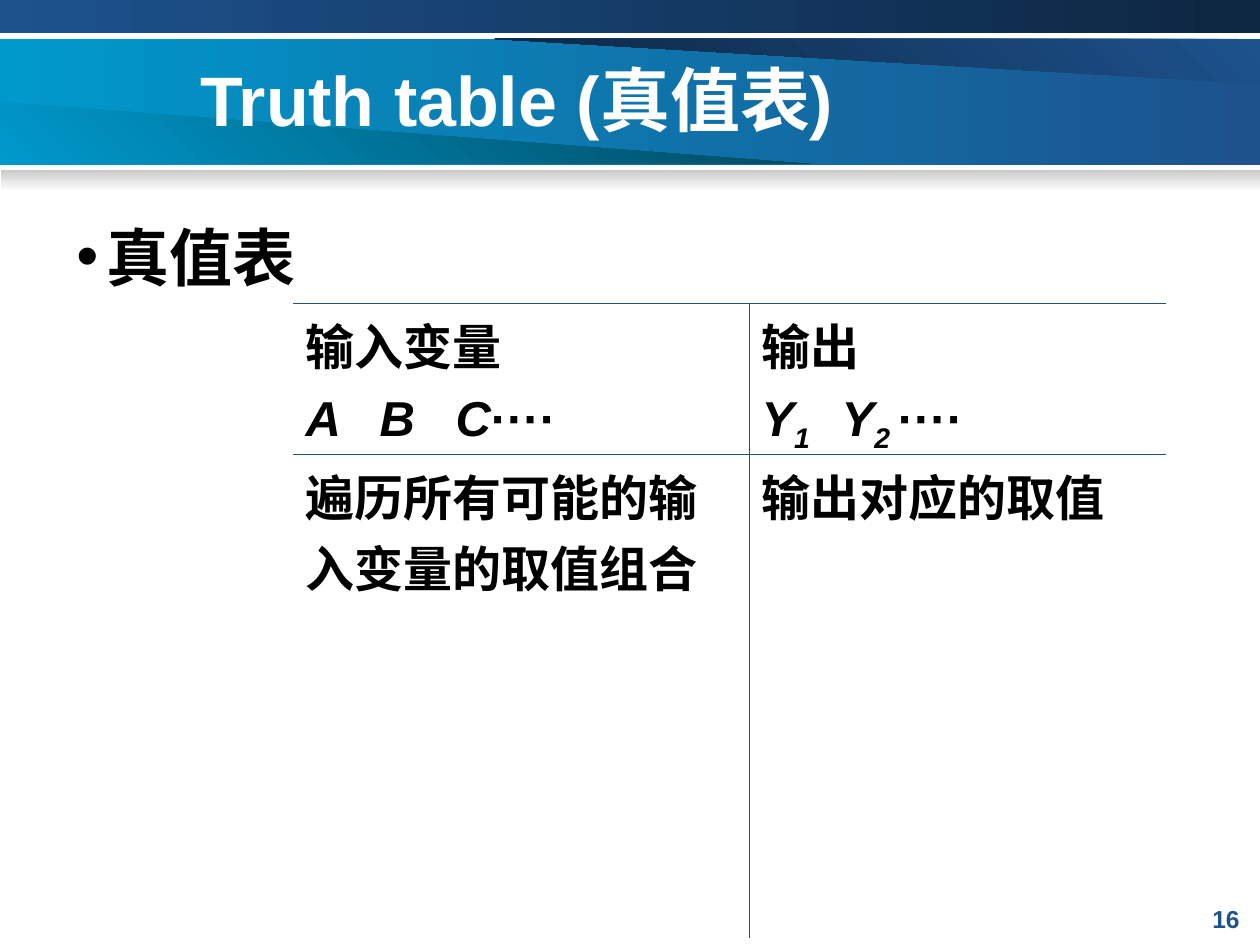
import pptx
import pptx.util
import pptx.dml.color
import pptx.enum.shapes
import pptx.enum.text
import pptx.oxml.ns
import lxml.etree

FONT = "Arial"
BLACK, WHITE, BLUE = "000000", "FFFFFF", "1D528D"
SKY, NAVY, TEAL, GREY = "0099CC", "0D2641", "00475E", "CACACA"

# Banner parts, back to front: outline, first colour, last colour, clockwise angle
BANDS = [
    ((0, 39, 1261, 126), SKY, BLUE, 0),
    ([(1237, 39), (495, 39), (1260, 84), (1260, 39)], BLUE, NAVY, 135),
    ([(24, 164), (810, 164), (0, 102), (0, 164)], SKY, TEAL, 315),
    ((0, 0, 1260, 33), BLUE, NAVY, 0),
    ((1, 170, 1259, 21), GREY, WHITE, 90),
]

TITLE, TOPIC, PAGE = "Truth table (真值表)", "真值表", "16"

# Table: cells hold paragraphs, paragraphs hold (text, style) runs
ITAL, SUB, BOLD = "italic", "sub", "bold"
CELLS = [
    [
        [[("输入变量", BOLD)], [("A\tB\tC", ITAL), ("····", BOLD)]],
        [[("输出", BOLD)],
         [("Y", ITAL), ("1\t", SUB), ("Y", ITAL), ("2 ", SUB), ("····", BOLD)]],
    ],
    [
        [[("遍历所有可能的输入变量的取值组合", BOLD)]],
        [[("输出对应的取值", BOLD)]],
    ],
]
COLS, ROWS = [456, 417], [151, 484]
STOPS = [[74, 150], [80]]
EDGES = [["RTB", "LTB"], ["RT", "LT"]]


def px(num):
    return pptx.util.Emu(round(num * 914400 / 126))


def rgb(code):
    return pptx.dml.color.RGBColor.from_string(code)


def sub(node, tag, **attrs):
    child = lxml.etree.SubElement(node, pptx.oxml.ns.qn(tag))
    for key, val in attrs.items():
        child.set(key, str(val))
    return child


def style(run, size, color):
    run.font.name, run.font.size, run.font.bold = FONT, pptx.util.Pt(size), True
    run.font.color.rgb = rgb(color)


def band(shapes, form, first, last, angle):
    if isinstance(form, tuple):
        kind = pptx.enum.shapes.MSO_SHAPE.RECTANGLE
        shape = shapes.add_shape(kind, *map(px, form))
    else:
        pen = shapes.build_freeform(*form[0], scale=px(1))
        pen.add_line_segments(form[1:], close=True)
        shape = pen.convert_to_shape()
    shape.shadow.inherit = False
    shape.line.fill.background()
    shape.fill.gradient()
    for stop, color in zip(shape.fill.gradient_stops, (first, last)):
        stop.color.rgb = rgb(color)
    shape.fill.gradient_angle = (360 - angle) % 360


def label(shapes, box, text, size, color, mid=True):
    frame = shapes.add_textbox(*map(px, box)).text_frame
    frame.word_wrap = True
    if mid:
        frame.vertical_anchor = pptx.enum.text.MSO_ANCHOR.MIDDLE
    frame.text = text
    style(frame.paragraphs[0].runs[0], size, color)
    return frame


def write(cell, paras, stops):
    frame = cell.text_frame
    for num, runs in enumerate(paras):
        para = frame.add_paragraph() if num else frame.paragraphs[0]
        para.space_before = pptx.util.Pt(7)
        if len(runs) > 1:
            tabs = sub(para._p.get_or_add_pPr(), "a:tabLst")
            for pos in stops:
                sub(tabs, "a:tab", pos=px(pos), algn="l")
        for text, look in runs:
            run = para.add_run()
            run.text = text
            style(run, 28, BLACK)
            run.font.italic = look in (ITAL, SUB)
            if look == SUB:
                run._r.get_or_add_rPr().set("baseline", "-25000")


def border(cell, edges):
    props = cell._tc.get_or_add_tcPr()
    for side in "LRTB":
        line = sub(props, "a:ln" + side, w=pptx.util.Pt(0.45))
        if side in edges:
            sub(sub(line, "a:solidFill"), "a:srgbClr", val=BLUE)
        else:
            sub(line, "a:noFill")
    cell.fill.background()


def grid(shapes):
    box = (293, 303, sum(COLS), sum(ROWS))
    table = shapes.add_table(len(ROWS), len(COLS), *map(px, box)).table
    table.first_row = table.horz_banding = False
    for col, wide in zip(table.columns, COLS):
        col.width = px(wide)
    for r, high in enumerate(ROWS):
        table.rows[r].height = px(high)
        for c, paras in enumerate(CELLS[r]):
            cell = table.cell(r, c)
            write(cell, paras, STOPS[c])
            border(cell, EDGES[r][c])


def main():
    deck = pptx.Presentation()
    deck.slide_width, deck.slide_height = px(1260), px(945)
    shapes = deck.slides.add_slide(deck.slide_layouts[6]).shapes

    # Banner
    for part in BANDS:
        band(shapes, *part)

    # Page number
    page = label(shapes, (958, 898, 294, 34), PAGE, 14, BLUE, mid=False)
    page.paragraphs[0].alignment = pptx.enum.text.PP_ALIGN.RIGHT

    # Bulleted topic
    topic = label(shapes, (64, 195, 1134, 122), TOPIC, 36, BLACK)
    props = topic.paragraphs[0]._p.get_or_add_pPr()
    props.set("marL", str(px(30)))
    props.set("indent", str(px(-30)))
    sub(sub(props, "a:buClr"), "a:srgbClr", val=BLACK)
    sub(props, "a:buFont", typeface=FONT)
    sub(props, "a:buChar", char="•")

    # Truth table
    grid(shapes)

    # Title
    title = label(shapes, (168, 38, 1092, 120), TITLE, 40, WHITE)
    title.margin_left = px(32)

    deck.save("out.pptx")


if __name__ == "__main__":
    main()
